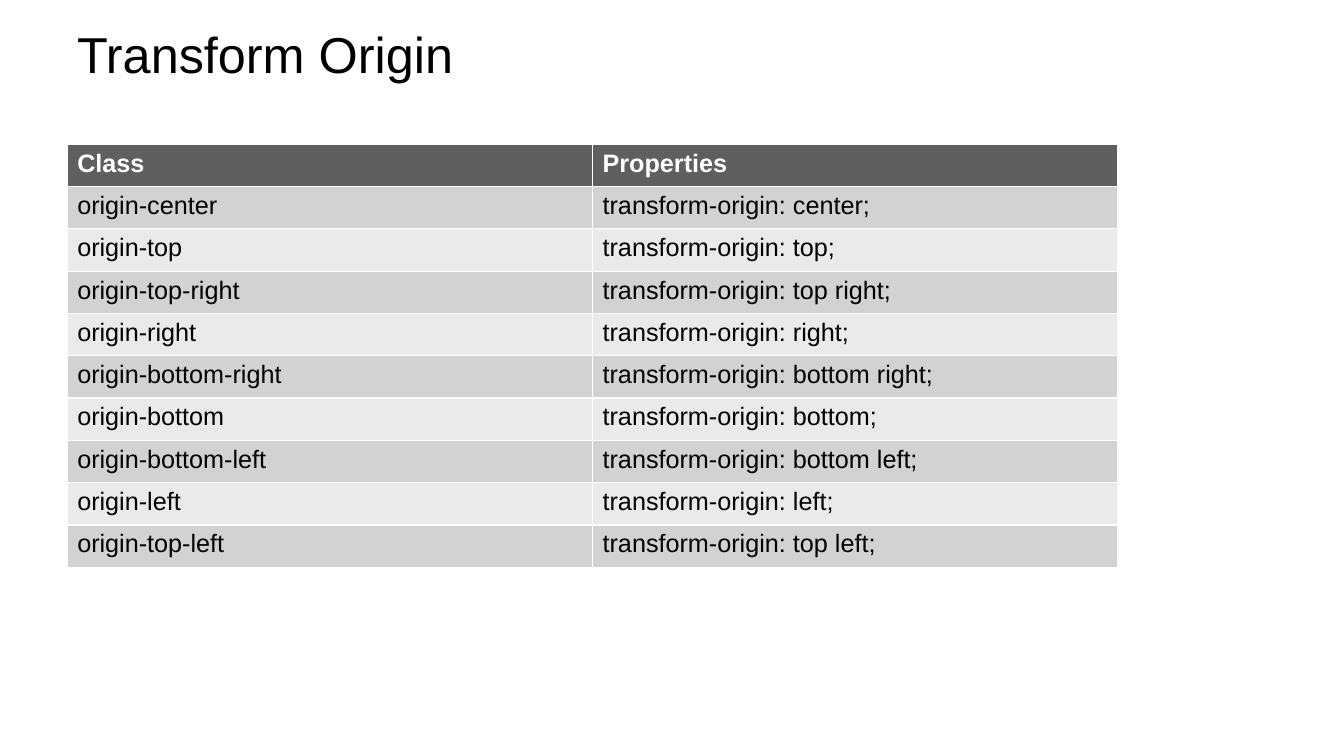
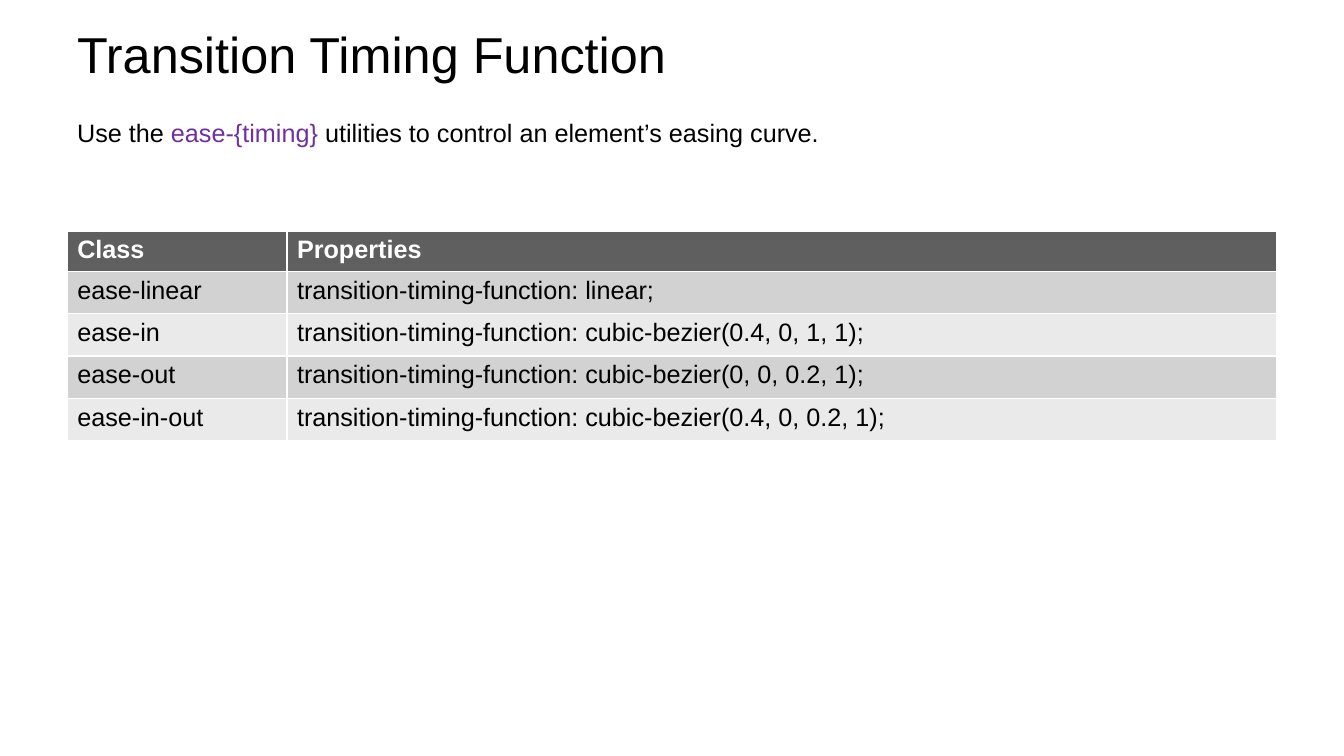
from dataclasses import dataclass
from typing import Any

from pptx import Presentation
from pptx.dml.color import RGBColor
from pptx.enum.text import MSO_ANCHOR, MSO_AUTO_SIZE
from pptx.slide import Slide
from pptx.text.text import TextFrame
from pptx.util import Pt

# Shared look
COLORS = {
    "text": "000000",
    "header_text": "FFFFFF",
    "header": "5F5F5F",
    "odd_row": "D2D2D2",
    "even_row": "EAEAEA",
    "utility": "7030A0",
}
TITLE_FORMAT = {"name": "Arial", "size": Pt(36), "bold": False}
BODY_FORMAT = {"name": "Arial", "size": Pt(18), "bold": False}
HEADER_FORMAT = BODY_FORMAT | {"bold": True}
LEFT = 48
CONTENT_WIDTH = 864
ROW_HEIGHT = 30.24
HEADERS = ("Class", "Properties")


@dataclass(frozen=True)
class Run:
    text: str
    color: str = "text"


@dataclass(frozen=True)
class ClassTable:
    top: float
    column_widths: tuple[float, float]
    header_height: float
    rows: list[tuple[str, str]]


@dataclass(frozen=True)
class Topic:
    title: str
    table: ClassTable
    description: tuple[Run, ...] = ()


# Slide content
ORIGINS = ("center", "top", "top-right", "right", "bottom-right",
           "bottom", "bottom-left", "left", "top-left")
TIMINGS = {
    "linear": "linear",
    "in": "cubic-bezier(0.4, 0, 1, 1)",
    "out": "cubic-bezier(0, 0, 0.2, 1)",
    "in-out": "cubic-bezier(0.4, 0, 0.2, 1)",
}
TOPICS = (
    Topic(
        "Transform Origin",
        ClassTable(103, (375.3, 375.3), ROW_HEIGHT, [
            (f"origin-{origin}", f"transform-origin: {origin.replace('-', ' ')};")
            for origin in ORIGINS
        ]),
    ),
    Topic(
        "Transition Timing Function",
        ClassTable(165, (157, 707), 28, [
            (f"ease-{name}", f"transition-timing-function: {curve};")
            for name, curve in TIMINGS.items()
        ]),
        (
            Run("Use the "),
            Run("ease-{timing}", "utility"),
            Run(" utilities to control an element’s easing curve."),
        ),
    ),
)


def color(name: str) -> RGBColor:
    return RGBColor.from_string(COLORS[name])


def write_runs(text_frame: TextFrame, runs: tuple[Run, ...],
               text_format: dict[str, Any]) -> None:
    paragraph = text_frame.paragraphs[0]
    for item in runs:
        run = paragraph.add_run()
        run.text = item.text
        for attribute, value in text_format.items():
            setattr(run.font, attribute, value)
        run.font.color.rgb = color(item.color)


def add_text(slide: Slide, top: float, width: float, height: float,
             runs: tuple[Run, ...], text_format: dict[str, Any],
             frame_format: dict[str, Any]) -> None:
    shape = slide.shapes.add_textbox(Pt(LEFT), Pt(top), Pt(width), Pt(height))
    text_frame = shape.text_frame
    text_frame.word_wrap = True
    for attribute, value in frame_format.items():
        setattr(text_frame, attribute, value)
    write_runs(text_frame, runs, text_format)


def add_class_table(slide: Slide, content: ClassTable) -> None:
    rows = [HEADERS, *content.rows]
    height = content.header_height + ROW_HEIGHT * len(content.rows)
    # The default table style supplies the white rules between cells
    table = slide.shapes.add_table(
        len(rows), len(HEADERS), Pt(LEFT), Pt(content.top),
        Pt(sum(content.column_widths)), Pt(height)).table
    for column, width in zip(table.columns, content.column_widths):
        column.width = Pt(width)
    for index, values in enumerate(rows):
        is_header = index == 0
        table.rows[index].height = Pt(content.header_height if is_header else ROW_HEIGHT)
        fill = "header" if is_header else "odd_row" if index % 2 else "even_row"
        for cell, value in zip(table.rows[index].cells, values):
            cell.fill.solid()
            cell.fill.fore_color.rgb = color(fill)
            write_runs(cell.text_frame,
                       (Run(value, "header_text" if is_header else "text"),),
                       HEADER_FORMAT if is_header else BODY_FORMAT)


def main() -> None:
    presentation = Presentation()
    presentation.slide_width = Pt(960)
    presentation.slide_height = Pt(540)
    for topic in TOPICS:
        slide = presentation.slides.add_slide(presentation.slide_layouts[6])
        add_text(slide, 15, CONTENT_WIDTH, 46, (Run(topic.title),), TITLE_FORMAT,
                 {"vertical_anchor": MSO_ANCHOR.MIDDLE})
        add_class_table(slide, topic.table)
        if topic.description:
            add_text(slide, 80.6, 683, 29, topic.description, BODY_FORMAT,
                     {"auto_size": MSO_AUTO_SIZE.SHAPE_TO_FIT_TEXT})
    presentation.save("out.pptx")


if __name__ == "__main__":
    main()
